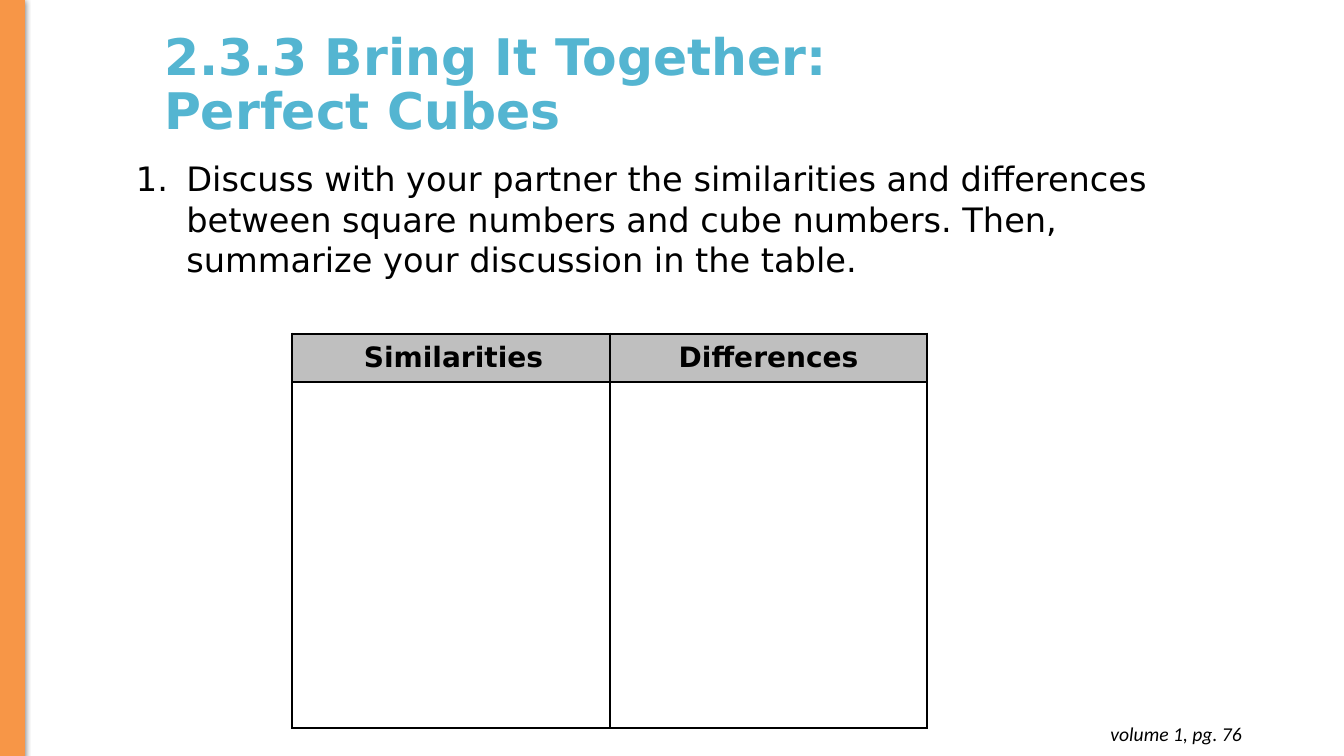
from pptx import Presentation
from pptx.dml.color import RGBColor
from pptx.enum.shapes import MSO_SHAPE as Shape
from pptx.enum.text import MSO_ANCHOR as Anchor, PP_ALIGN as Align
from pptx.oxml import parse_xml
from pptx.oxml.ns import nsdecls
from pptx.util import Pt

BODY_FONT = "DejaVu Sans"
BLACK = "000000"
ORANGE = "F79647"


def color(value):
    return RGBColor.from_string(value)


def drawing(tag, attributes, inner=""):
    return parse_xml(f'<a:{tag} {nsdecls("a")} {attributes}>{inner}</a:{tag}>')


def solid(value):
    return f'<a:solidFill><a:srgbClr val="{value}"/></a:solidFill>'


def style_text(paragraph, size, ink=BLACK, font=BODY_FONT, bold=False, italic=False):
    for run in paragraph.runs:
        run.font.name = font
        run.font.size = Pt(size)
        run.font.bold = bold
        run.font.italic = italic
        run.font.color.rgb = color(ink)


def add_text(slide, box, words, size, margin=3.6, anchor=Anchor.TOP, **style):
    frame = slide.shapes.add_textbox(*map(Pt, box)).text_frame
    frame.word_wrap = True
    frame.vertical_anchor = anchor
    frame.margin_left = frame.margin_right = Pt(7.2)
    frame.margin_top = frame.margin_bottom = Pt(margin)
    frame.text = words
    paragraph = frame.paragraphs[0]
    style_text(paragraph, size, **style)
    return paragraph


def number_paragraph(paragraph, indent):
    properties = paragraph._p.get_or_add_pPr()
    properties.set("marL", str(Pt(indent)))
    properties.set("indent", str(-Pt(indent)))
    properties.append(drawing("buClr", "", f'<a:srgbClr val="{BLACK}"/>'))
    properties.append(drawing("buFont", f'typeface="{BODY_FONT}"'))
    properties.append(drawing("buAutoNum", 'type="arabicPeriod"'))


def add_side_bar(slide, box):
    bar = slide.shapes.add_shape(Shape.RECTANGLE, *map(Pt, box))
    bar.fill.solid()
    bar.fill.fore_color.rgb = color(ORANGE)
    bar.line.color.rgb = color(ORANGE)
    bar.line.width = Pt(0.75)
    bar.shadow.inherit = False
    effects = bar._element.spPr.find("{*}effectLst")
    effects.append(drawing(
        "outerShdw",
        f'blurRad="{Pt(4.5)}" dist="{Pt(1.5)}" dir="5400000" rotWithShape="0"',
        f'<a:srgbClr val="{BLACK}"><a:alpha val="50000"/></a:srgbClr>'))


def border_cell(cell):
    properties = cell._tc.get_or_add_tcPr()
    for side in ("lnL", "lnR", "lnT", "lnB"):
        properties.append(drawing(side, f'w="{Pt(1.5)}"', solid(BLACK)))


def add_comparison_table(slide, box, headings, row_heights):
    table = slide.shapes.add_table(
        len(row_heights), len(headings), *map(Pt, box)).table
    for row, height in zip(table.rows, row_heights):
        row.height = Pt(height)
    for cell in table.iter_cells():
        border_cell(cell)
        cell.fill.background()
    for column, heading in enumerate(headings):
        cell = table.cell(0, column)
        cell.fill.solid()
        cell.fill.fore_color.rgb = color("BFBFBF")
        cell.vertical_anchor = Anchor.MIDDLE
        cell.text_frame.text = heading
        title = cell.text_frame.paragraphs[0]
        title.alignment = Align.CENTER
        style_text(title, 20, bold=True)
    first_heading = table.cell(0, 0).text_frame.paragraphs[0]
    first_heading._p.get_or_add_pPr().set("marL", str(Pt(3.6)))


def main():
    deck = Presentation()
    deck.slide_width, deck.slide_height = Pt(960), Pt(540)
    slide = deck.slides.add_slide(deck.slide_layouts[6])

    lesson_title = add_text(
        slide, (110.16, 9.36, 631.44, 104.4),
        "2.3.3 Bring It Together: Perfect Cubes", 36,
        anchor=Anchor.MIDDLE, ink="54B5D1", bold=True)
    lesson_title.line_spacing = 0.9

    question = add_text(
        slide, (90, 109.44, 799.92, 94.32),
        "Discuss with your partner the similarities and differences between "
        "square numbers and cube numbers. Then, summarize your discussion "
        "in the table.", 24)
    number_paragraph(question, 36)

    add_side_bar(slide, (0, -0.72, 17.28, 540.72))
    add_comparison_table(
        slide, (208.8, 238.32, 453.6, 281.52),
        ("Similarities", "Differences"), (34.56, 246.96))

    page_reference = add_text(
        slide, (686.88, 508.32, 207.36, 31.68), "volume 1, pg. 76", 14,
        margin=7.2, font="Calibri", italic=True)
    page_reference.alignment = Align.RIGHT

    deck.save("out.pptx")


if __name__ == "__main__":
    main()
